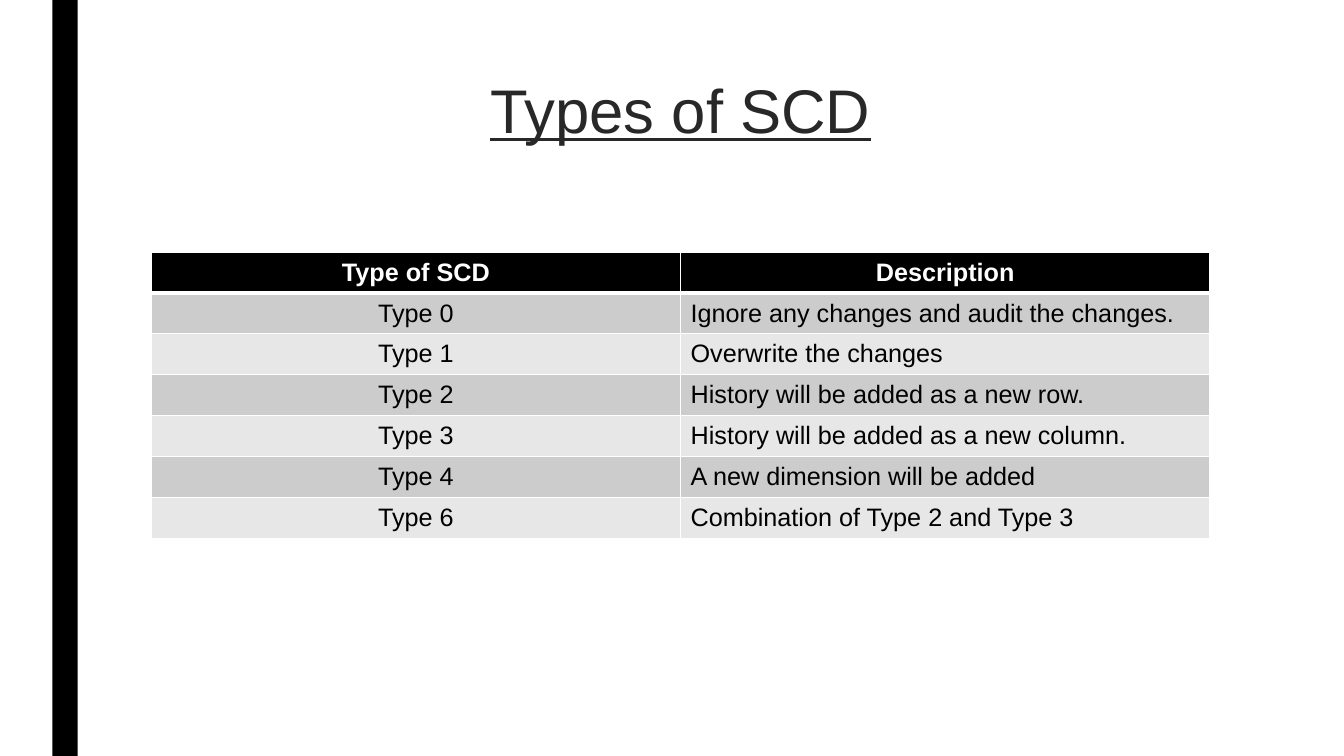
from lxml import etree
from pptx import Presentation
from pptx.dml.color import RGBColor
from pptx.enum.shapes import MSO_SHAPE
from pptx.enum.text import MSO_ANCHOR, PP_ALIGN
from pptx.oxml.ns import qn
from pptx.util import Inches, Pt

RECT = MSO_SHAPE.RECTANGLE
TOP, MIDDLE = MSO_ANCHOR.TOP, MSO_ANCHOR.MIDDLE
LEFT, CENTER = PP_ALIGN.LEFT, PP_ALIGN.CENTER
BLACK = RGBColor(0x00, 0x00, 0x00)
WHITE = RGBColor(0xFF, 0xFF, 0xFF)
CHARCOAL = RGBColor(0x28, 0x28, 0x29)
BANDS = (RGBColor(0xE7, 0xE7, 0xE7), RGBColor(0xCC, 0xCC, 0xCC))
FONT = "Arial"

SCD_TYPES = [
    ("Type of SCD", "Description"),
    ("Type 0", "Ignore any changes and audit the changes."),
    ("Type 1", "Overwrite the changes"),
    ("Type 2", "History will be added as a new row."),
    ("Type 3", "History will be added as a new column."),
    ("Type 4", "A new dimension will be added"),
    ("Type 6", "Combination of Type 2 and Type 3"),
]


def add_run(p, text, size, color, bold=False, underline=False):
    r = p.add_run()
    r.text = text
    r.font.name = FONT
    r.font.size = Pt(size)
    r.font.color.rgb = color
    r.font.bold = bold
    r.font.underline = underline


def set_borders(cell, widths):
    tcPr = cell._tc.get_or_add_tcPr()
    for i, (side, width) in enumerate(widths.items()):
        ln = etree.Element(qn(f"a:ln{side}"), w=str(Pt(width)))
        fill = etree.SubElement(ln, qn("a:solidFill"))
        etree.SubElement(fill, qn("a:srgbClr"), val=str(WHITE))
        tcPr.insert(i, ln)


def add_side_bar(s, left, top, width, height):
    bar = s.shapes.add_shape(RECT, left, top, width, height)
    bar.shadow.inherit = False
    bar.fill.solid()
    bar.fill.fore_color.rgb = BLACK
    bar.line.fill.background()


def set_title(s, left, top, width, height, text):
    title = s.shapes.title
    title.left, title.top, title.width, title.height = left, top, width, height
    tf = title.text_frame
    tf.word_wrap = True
    tf.vertical_anchor = TOP
    p = tf.paragraphs[0]
    p.alignment = CENTER
    p.line_spacing = 0.89
    add_run(p, text, 44, CHARCOAL, underline=True)


def add_scd_table(s, left, top, width, height, rows):
    frame = s.shapes.add_table(len(rows), len(rows[0]), left, top, width, height)
    table = frame.table
    for i, row in enumerate(rows):
        header = i == 0
        for j, text in enumerate(row):
            cell = table.cell(i, j)
            cell.fill.solid()
            cell.fill.fore_color.rgb = BLACK if header else BANDS[i % 2]
            cell.vertical_anchor = MIDDLE
            cell.margin_left = cell.margin_right = Inches(0.1)
            cell.margin_top = cell.margin_bottom = Inches(0.06)
            set_borders(cell, {"L": 1, "R": 1, "T": 3 if i == 1 else 1,
                               "B": 3 if header else 1})
            p = cell.text_frame.paragraphs[0]
            p.alignment = CENTER if header or j == 0 else LEFT
            add_run(p, text, 18, WHITE if header else BLACK, bold=header)


def build_scd_slide(prs):
    s = prs.slides.add_slide(prs.slide_layouts[5])
    left, width = Inches(1.5), Inches(10.5)
    add_side_bar(s, Inches(0.52), 0, Inches(0.25), prs.slide_height)
    set_title(s, left, Inches(0.75), width, Inches(1.62), "Types of SCD")
    add_scd_table(s, left, Inches(2.5), width, Inches(2.84), SCD_TYPES)


prs = Presentation()
prs.slide_width = Inches(13.33)
prs.slide_height = Inches(7.5)
build_scd_slide(prs)
prs.save("out.pptx")
